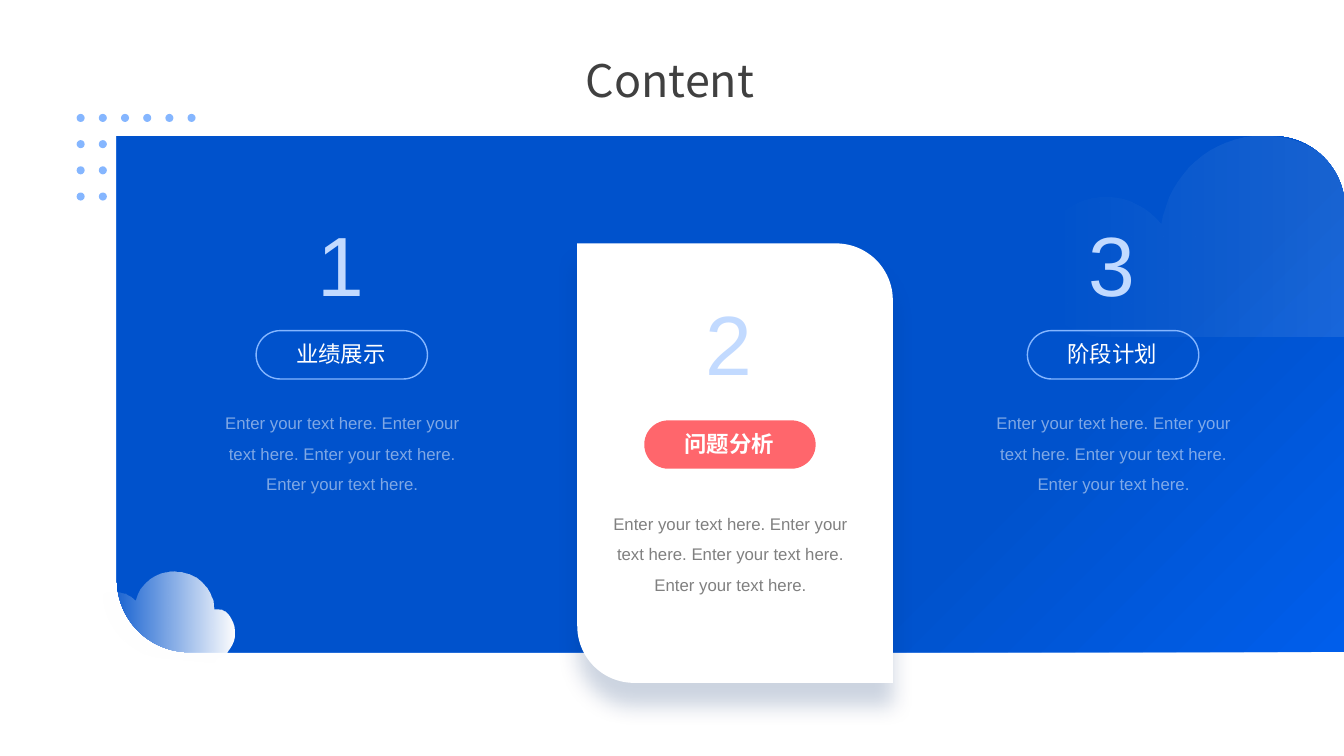
from dataclasses import dataclass
from pptx import Presentation
from pptx import util as u
from pptx.dml import color
from pptx.enum import shapes, text
from pptx.oxml import parse_xml
from pptx.oxml.ns import nsdecls, qn

HUES = {
    "white": "FFFFFF", "blue": "0052CC", "bright": "005EEB", "sky": "85B6FF",
    "pale": "C2DAFF", "coral": "FF666C", "gray": "808080", "dark": "404040",
}
BODY = " ".join(["Enter your text here."] * 4)
LEFT, CENTER = text.PP_ALIGN.LEFT, text.PP_ALIGN.CENTER


@dataclass
class Column:
    digit: str
    label: str
    mid: float
    tops: tuple[float, float, float]
    tint: str
    alpha: int
    solid: bool


@dataclass
class Cloud:
    start: tuple[float, float]
    steps: list[tuple[float, ...]]
    alpha: int


COLUMNS = [
    Column("1", "业绩展示", 3.39, (2.06, 3.28, 3.95), "white", 50, False),
    Column("3", "阶段计划", 11.04, (2.06, 3.28, 3.95), "white", 50, False),
    Column("2", "问题分析", 7.24, (2.84, 4.17, 4.95), "gray", 100, True),
]
SKY_CLOUD = Cloud((13.55, 2.33), [
    (13.52, 2.33, 13.52, 2.33, 13.52, 2.33),
    (13.52, 1.78, 13.08, 1.34, 12.52, 1.34),
    (12.01, 1.34, 11.59, 1.73, 11.52, 2.22),
    (11.39, 2.06, 11.19, 1.95, 10.97, 1.95),
    (10.59, 1.95, 10.28, 2.26, 10.28, 2.66),
    (10.28, 3.04, 10.59, 3.34, 10.97, 3.34),
    (13.55, 3.34, 13.55, 3.34, 13.55, 3.34),
    (13.84, 3.34, 14.06, 3.12, 14.06, 2.84),
    (14.06, 2.57, 13.84, 2.33, 13.55, 2.33),
], 13)
LOW_CLOUD = Cloud((1.73, 5.67), [
    (1.94, 5.67, 2.12, 5.83, 2.12, 6.04),
    (2.16, 6.04),
    (2.27, 6.04, 2.33, 6.19, 2.33, 6.28),
    (2.33, 6.36, 2.25, 6.52, 2.15, 6.52),
    (2.13, 6.53, 2.14, 6.54, 2.12, 6.57),
    (1.7, 6.53),
    (1.34, 6.53, 1.06, 6.26, 1.02, 5.92),
    (1.02, 5.9),
    (1.04, 5.89),
    (1.07, 5.88, 1.11, 5.87, 1.14, 5.87),
    (1.22, 5.87, 1.29, 5.9, 1.35, 5.96),
    (1.39, 5.79, 1.55, 5.67, 1.73, 5.67),
], 100)


def rgb(name: str) -> color.RGBColor:
    return color.RGBColor.from_string(HUES[name])


def fade(node, alpha: int) -> None:
    node.append(parse_xml(f'<a:alpha {nsdecls("a")} val="{alpha * 1000}"/>'))


def write(frame, words: str, size: int, tint: str, align, face: str = "Arial",
          bold: bool = False):
    frame.text = words
    para = frame.paragraphs[0]
    para.alignment = align
    font = para.runs[0].font
    font.size, font.name, font.bold = u.Pt(size), face, bold
    font.color.rgb = rgb(tint)
    return para


def box(slide, left: float, top: float, width: float, height: float,
        wrap: bool):
    frame = slide.shapes.add_textbox(*map(u.Inches, (left, top, width, height))).text_frame
    frame.word_wrap = wrap
    frame.auto_size = text.MSO_AUTO_SIZE.SHAPE_TO_FIT_TEXT
    return frame


def block(slide, kind, left: float, top: float, width: float, height: float,
          tint: str = ""):
    shape = slide.shapes.add_shape(kind, *map(u.Inches, (left, top, width, height)))
    shape.shadow.inherit = False
    shape.line.fill.background()
    if tint:
        shape.fill.solid()
        shape.fill.fore_color.rgb = rgb(tint)
    else:
        shape.fill.background()
    return shape


def blend(shape, first: str, last: str, start: float = 0) -> None:
    shape.fill.gradient()
    shape.fill.gradient_angle = 0
    stops = shape.fill.gradient_stops
    for stop, tint, place in zip(stops, (first, last), (start, 1)):
        stop.color.rgb = rgb(tint)
        stop.position = place


def dots(slide) -> None:
    for col in range(6):
        for row in range(4):
            block(slide, shapes.MSO_SHAPE.OVAL, 0.76 + 0.22 * col,
                  1.13 + 0.26 * row, 0.08, 0.08, "sky")


def panel(slide) -> None:
    shape = block(slide, shapes.MSO_SHAPE.ROUND_2_DIAG_RECTANGLE,
                  1.16, 1.35, 12.18, 5.12)
    shape.adjustments[0], shape.adjustments[1] = 0, 0.14
    blend(shape, "blue", "bright", 0.71)
    line = shape._element.spPr.find(f'.//{qn("a:lin")}')
    line.getparent().replace(line, parse_xml(
        f'<a:path {nsdecls("a")} path="circle">'
        '<a:fillToRect r="100000" b="100000"/></a:path>'))


def card(slide) -> None:
    shape = block(slide, shapes.MSO_SHAPE.ROUND_2_DIAG_RECTANGLE,
                  5.11, 3.03, 4.36, 3.13, "white")
    shape.rotation = 90
    shape.adjustments[0], shape.adjustments[1] = 0.18, 0
    shade = parse_xml(
        f'<a:outerShdw {nsdecls("a")} blurRad="{u.Pt(15)}" dist="{u.Pt(16)}" '
        'dir="5400000" algn="t" rotWithShape="0"><a:srgbClr val="002966">'
        '<a:alpha val="20000"/></a:srgbClr></a:outerShdw>')
    shape._element.spPr.find(qn("a:effectLst")).append(shade)


def cloud(slide, item: Cloud) -> None:
    pen = slide.shapes.build_freeform(*map(u.Inches, item.start))
    pen.add_line_segments([tuple(map(u.Inches, step[-2:])) for step in item.steps])
    shape = pen.convert_to_shape()
    edges = list(shape._element.spPr.iter(qn("a:lnTo")))
    for edge, step in zip(edges, item.steps):
        if len(step) == 6:
            pairs = zip(step[::2], step[1::2])
            points = "".join(
                f'<a:pt x="{u.Inches(x) - shape.left}" y="{u.Inches(y) - shape.top}"/>'
                for x, y in pairs)
            edge.getparent().replace(edge, parse_xml(
                f'<a:cubicBezTo {nsdecls("a")}>{points}</a:cubicBezTo>'))
    shape.shadow.inherit = False
    shape.line.fill.background()
    blend(shape, "white", "white")
    for node, alpha in zip(shape._element.spPr.iter(qn("a:srgbClr")), (0, item.alpha)):
        fade(node, alpha)


def column(slide, item: Column) -> None:
    high, middle, low = item.tops
    write(box(slide, item.mid - 0.34, high, 0.67, 1.11, False),
          item.digit, 60, "pale", LEFT)
    pill = block(slide, shapes.MSO_SHAPE.ROUNDED_RECTANGLE, item.mid - 0.85,
                 middle, 1.7, 0.48, "coral" if item.solid else "")
    pill.adjustments[0] = 0.5
    if not item.solid:
        pill.line.color.rgb = rgb("sky")
        pill.line.width = u.Pt(1)
    write(box(slide, item.mid - 0.55, middle + 0.05, 1.1, 0.37, False),
          item.label, 16, "white", LEFT, bold=item.solid)
    para = write(box(slide, item.mid - 1.29, low, 2.59, 0.97, True),
                 BODY, 12, item.tint, CENTER)
    para.line_spacing = 1.5
    if item.alpha < 100:
        fade(para._p.find(f'.//{qn("a:srgbClr")}'), item.alpha)


def main() -> None:
    deck = Presentation()
    deck.slide_width, deck.slide_height = u.Inches(13.33), u.Inches(7.5)
    slide = deck.slides.add_slide(deck.slide_layouts[5])
    title = slide.shapes.title
    title.left, title.top, title.width, title.height = map(
        u.Inches, (5.69, 0.47, 1.91, 0.64))
    title.text_frame.word_wrap = False
    title.text_frame.vertical_anchor = text.MSO_ANCHOR.MIDDLE
    write(title.text_frame, "Content", 32, "dark", CENTER, "Noto Sans CJK TC")
    dots(slide)
    panel(slide)
    cloud(slide, SKY_CLOUD)
    card(slide)
    for item in COLUMNS:
        column(slide, item)
    cloud(slide, LOW_CLOUD)
    deck.save("out.pptx")


if __name__ == "__main__":
    main()
